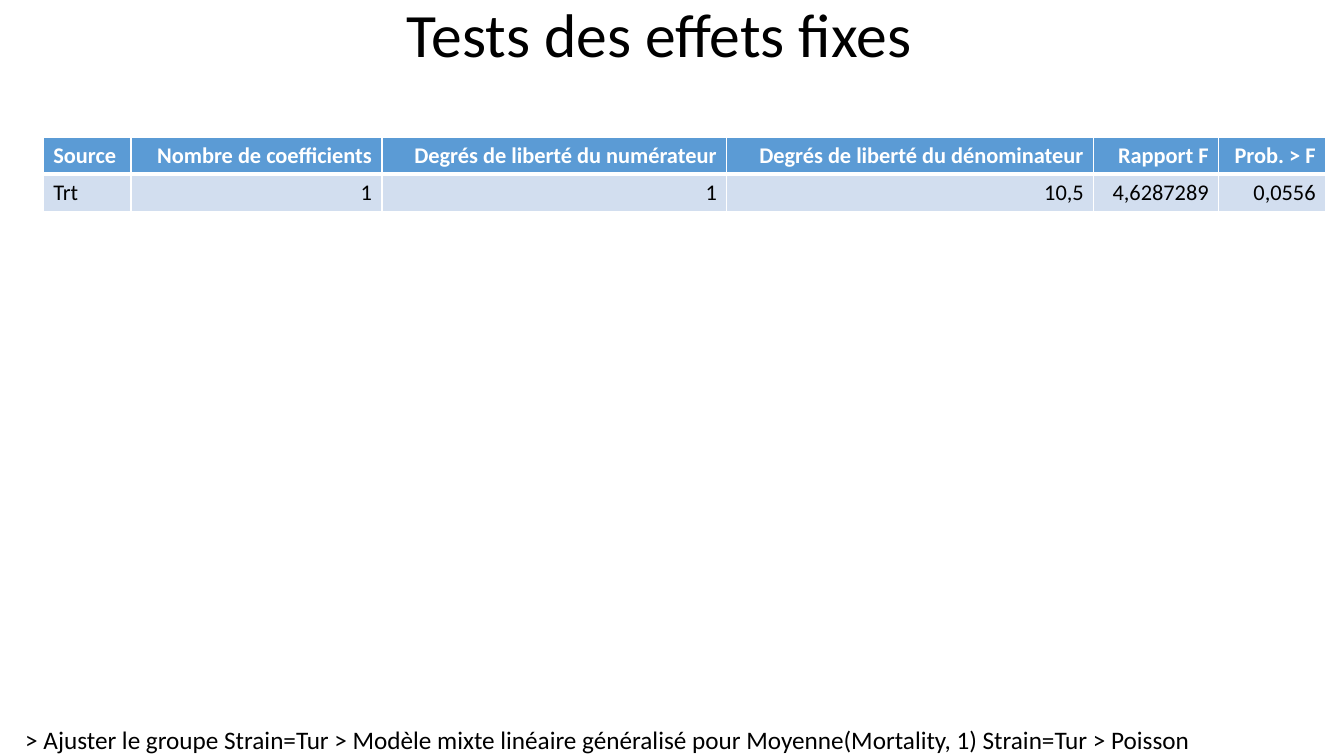
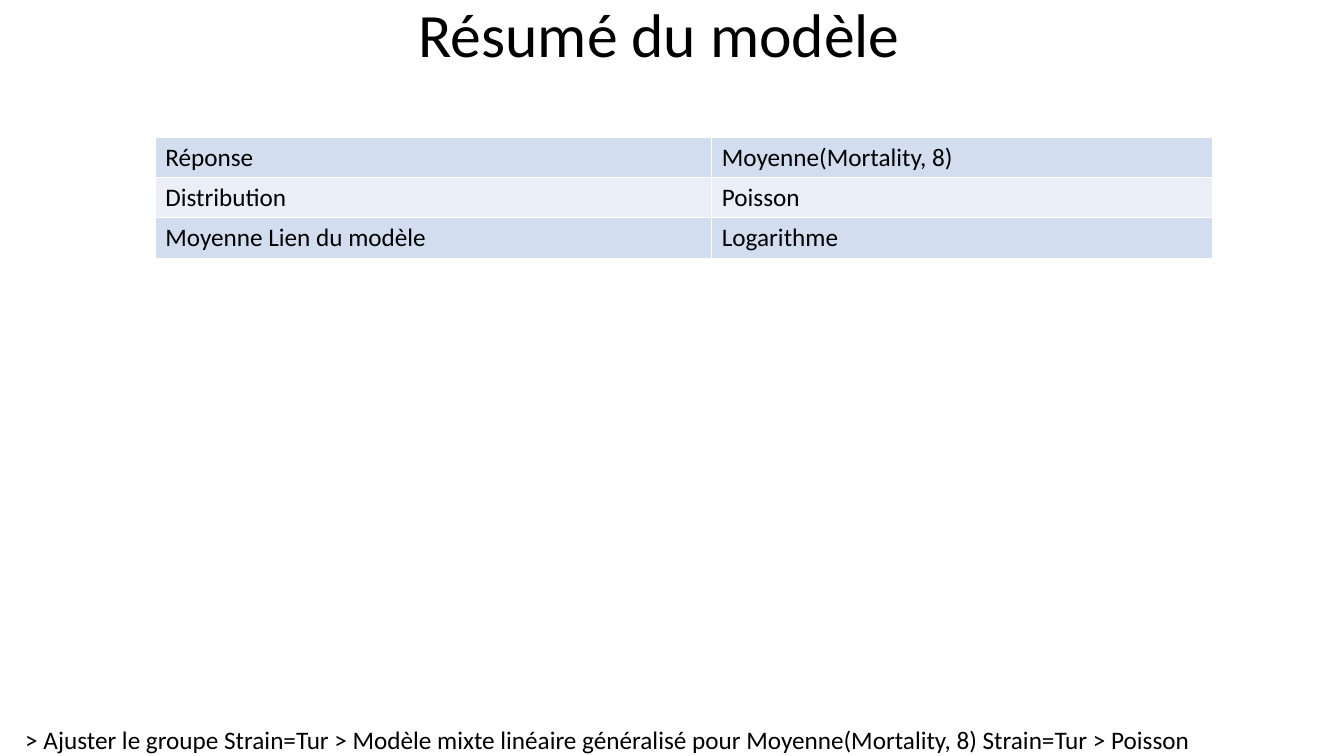
from dataclasses import dataclass

from lxml.etree import SubElement
from pptx import Presentation
from pptx.dml.color import RGBColor
from pptx.enum.text import MSO_ANCHOR, MSO_AUTO_SIZE, PP_ALIGN
from pptx.oxml.ns import qn
from pptx.util import Emu, Pt


@dataclass(frozen=True)
class Theme:
    font: str = "Calibri"
    ink: str = "000000"
    paper: str = "FFFFFF"
    header: str = "5B9BD5"
    bands: tuple = ("D2DEEF", "EAEFF7")
    title_size: int = 44
    path_size: int = 18
    rule: int = 1
    header_rule: int = 3


THEME = Theme()
EMU_PER_PX = 9144
SLIDE_SIZE = (1333, 750)
TITLE_BOX = (0, 0, 1308, 75)
PATH_BOX = (25, 719, 1165, 31)
TABLE_TOP = 136
MODEL_PATH = (
    "> Ajuster le groupe Strain=Tur > Modèle mixte linéaire généralisé "
    "pour Moyenne(Mortality, {}) Strain=Tur > Poisson"
)

REPORTS = [
    {
        "title": "Tests des effets fixes",
        "mortality": 1,
        "left": 43,
        "widths": (87, 249, 342, 364, 124, 106),
        "row_height": 37,
        "size": 16,
        "has_header": True,
        "numeric": True,
        "rows": [
            ("Source", "Nombre de coefficients", "Degrés de liberté du numérateur",
             "Degrés de liberté du dénominateur", "Rapport F", "Prob. > F"),
            ("Trt", "1", "1", "10,5", "4,6287289", "0,0556"),
        ],
    },
    {
        "title": "Résumé du modèle",
        "mortality": 8,
        "left": 154,
        "widths": (552, 497),
        "row_height": 40,
        "size": 18,
        "has_header": False,
        "numeric": False,
        "rows": [
            ("Réponse", "Moyenne(Mortality, 8)"),
            ("Distribution", "Poisson"),
            ("Moyenne Lien du modèle", "Logarithme"),
        ],
    },
]


def px(length):
    return Emu(length * EMU_PER_PX)


def write(frame, text, *, size, color=THEME.ink, bold=False,
          align=PP_ALIGN.LEFT, line_spacing=None):
    paragraph = frame.paragraphs[0]
    paragraph.alignment = align
    paragraph.line_spacing = line_spacing
    run = paragraph.add_run()
    run.text = text
    run.font.name = THEME.font
    run.font.size = Pt(size)
    run.font.bold = bold
    run.font.color.rgb = RGBColor.from_string(color)


def set_borders(cell, **widths):
    properties = cell._tc.get_or_add_tcPr()
    for position, side in enumerate(("L", "R", "T", "B")):
        border = SubElement(properties, qn(f"a:ln{side}"),
                            w=str(Pt(widths.get(side, THEME.rule))))
        fill = SubElement(border, qn("a:solidFill"))
        SubElement(fill, qn("a:srgbClr"), val=THEME.paper)
        properties.insert(position, border)


def add_title(slide, text):
    title = slide.shapes.title
    title.left, title.top, title.width, title.height = map(px, TITLE_BOX)
    frame = title.text_frame
    frame.vertical_anchor = MSO_ANCHOR.MIDDLE
    frame.auto_size = MSO_AUTO_SIZE.NONE
    write(frame, text, size=THEME.title_size, align=PP_ALIGN.CENTER, line_spacing=0.9)


def add_model_path(slide, mortality):
    frame = slide.shapes.add_textbox(*map(px, PATH_BOX)).text_frame
    frame.margin_left = frame.margin_top = frame.margin_right = frame.margin_bottom = 0
    frame.word_wrap = False
    frame.auto_size = MSO_AUTO_SIZE.SHAPE_TO_FIT_TEXT
    write(frame, MODEL_PATH.format(mortality), size=THEME.path_size)


def add_results(slide, report):
    rows, widths, has_header = report["rows"], report["widths"], report["has_header"]
    results = slide.shapes.add_table(
        len(rows), len(widths), px(report["left"]), px(TABLE_TOP),
        px(sum(widths)), px(report["row_height"] * len(rows))).table
    results.first_row = has_header
    for column, width in zip(results.columns, widths):
        column.width = px(width)
    for row_index, row in enumerate(rows):
        is_header = has_header and row_index == 0
        band = THEME.bands[(row_index - has_header) % len(THEME.bands)]
        for column_index, text in enumerate(row):
            cell = results.cell(row_index, column_index)
            cell.fill.solid()
            cell.fill.fore_color.rgb = RGBColor.from_string(
                THEME.header if is_header else band)
            below_header = has_header and row_index == 1
            set_borders(cell,
                        T=THEME.header_rule if below_header else THEME.rule,
                        B=THEME.header_rule if is_header else THEME.rule)
            right = report["numeric"] and column_index > 0
            write(cell.text_frame, text, size=report["size"], bold=is_header,
                  color=THEME.paper if is_header else THEME.ink,
                  align=PP_ALIGN.RIGHT if right else PP_ALIGN.LEFT)


def main():
    deck = Presentation()
    deck.slide_width, deck.slide_height = map(px, SLIDE_SIZE)
    title_only = deck.slide_layouts[5]
    for report in REPORTS:
        slide = deck.slides.add_slide(title_only)
        add_model_path(slide, report["mortality"])
        add_title(slide, report["title"])
        add_results(slide, report)
    deck.save("out.pptx")


if __name__ == "__main__":
    main()
